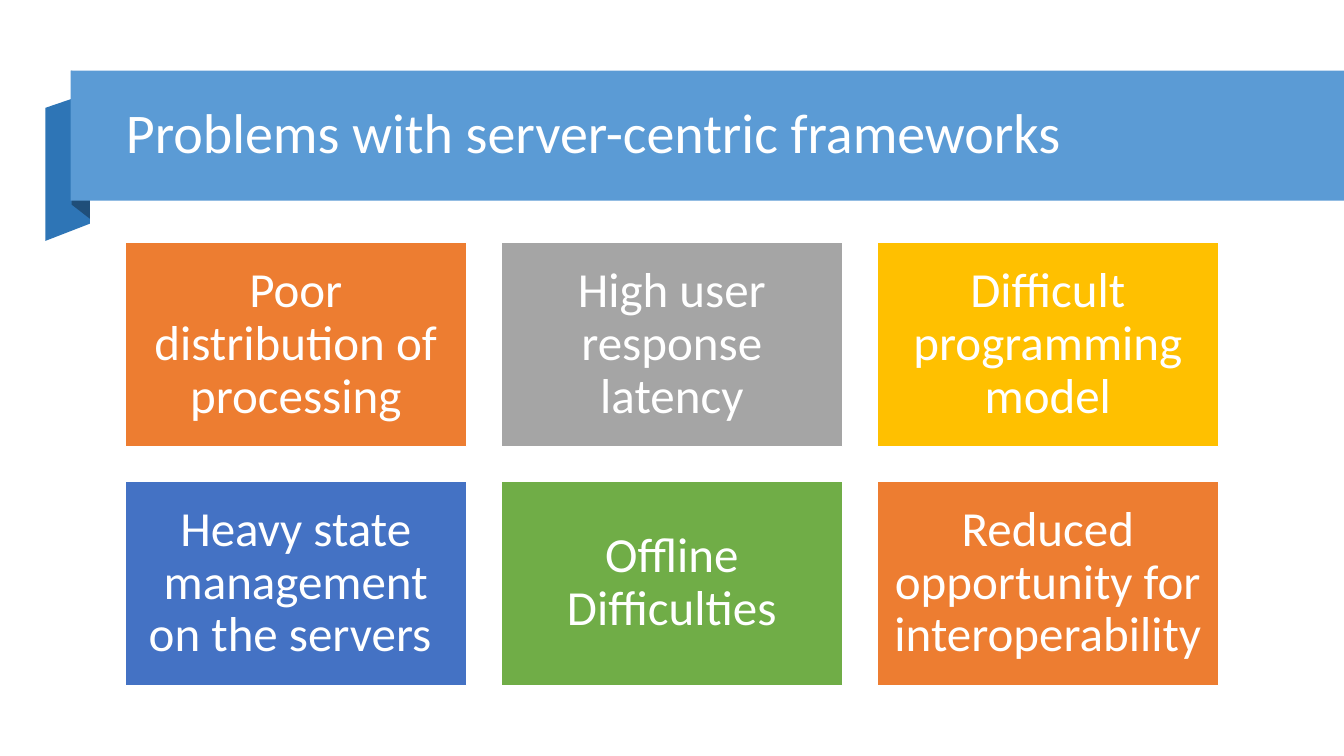
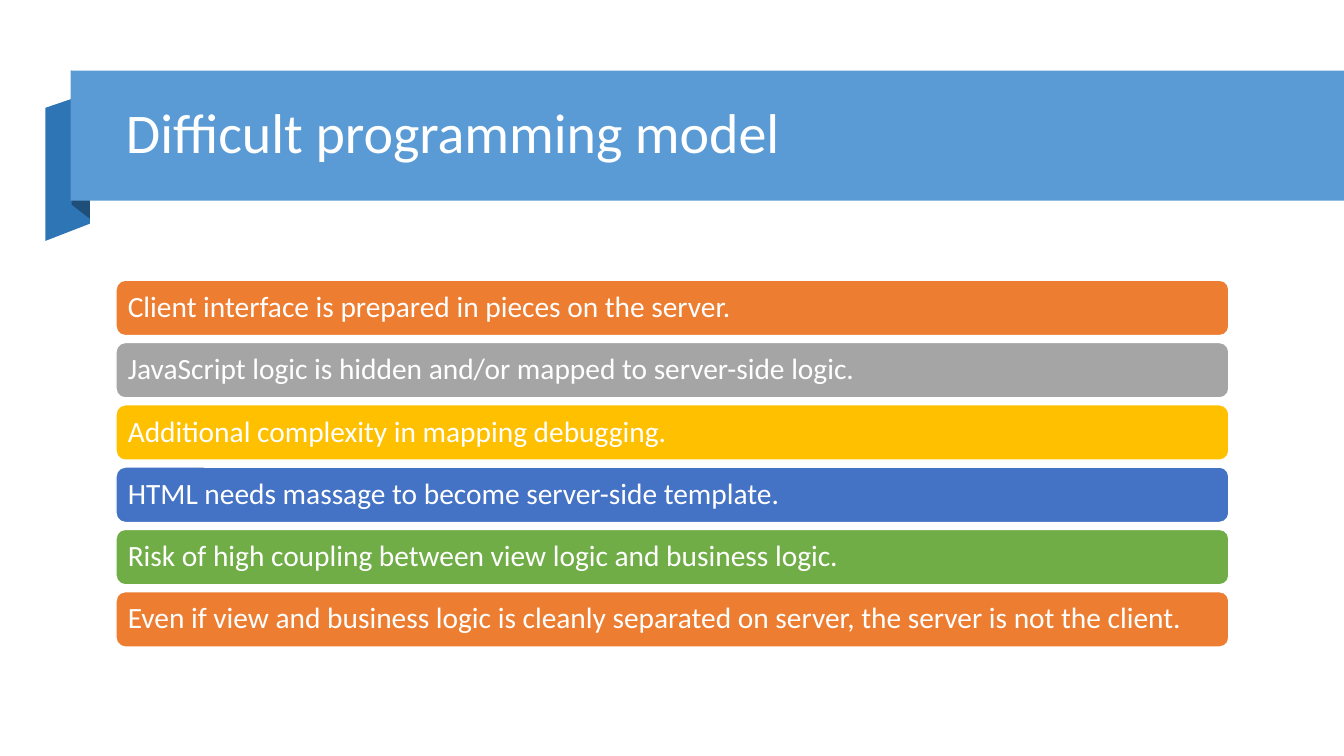
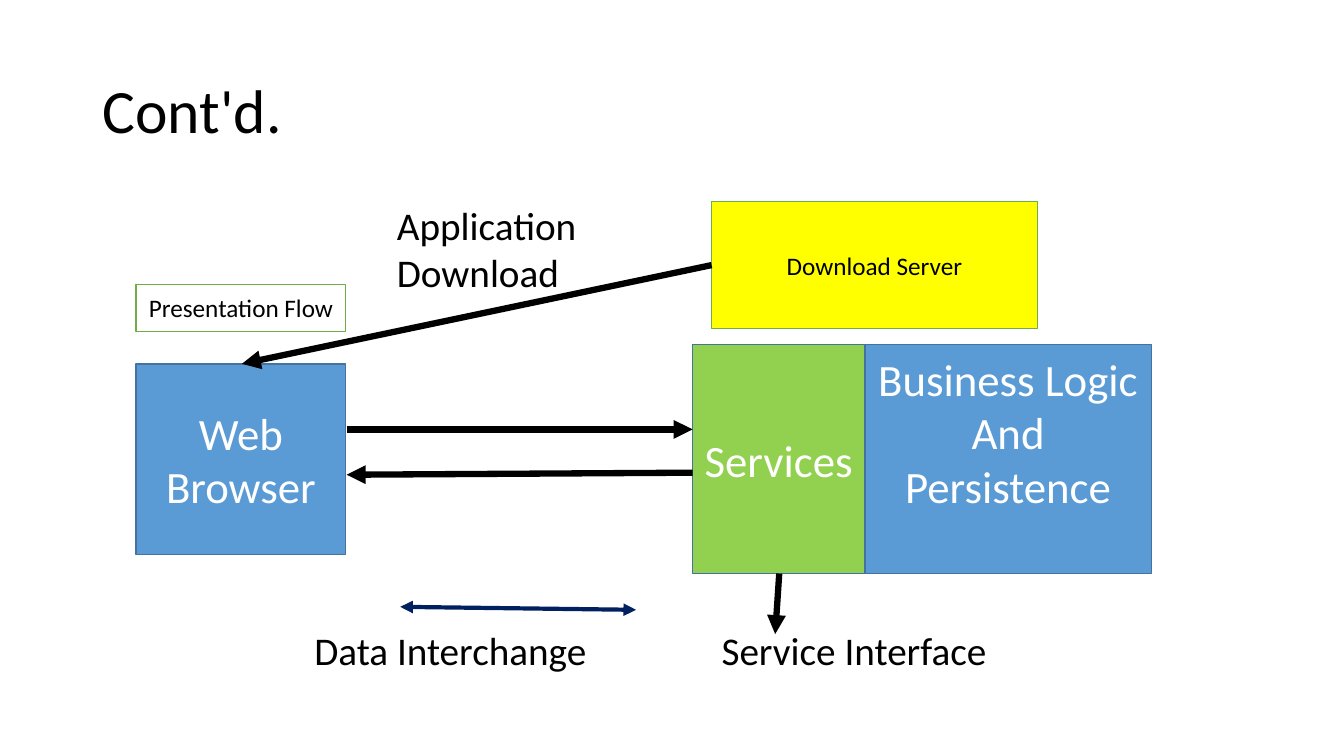
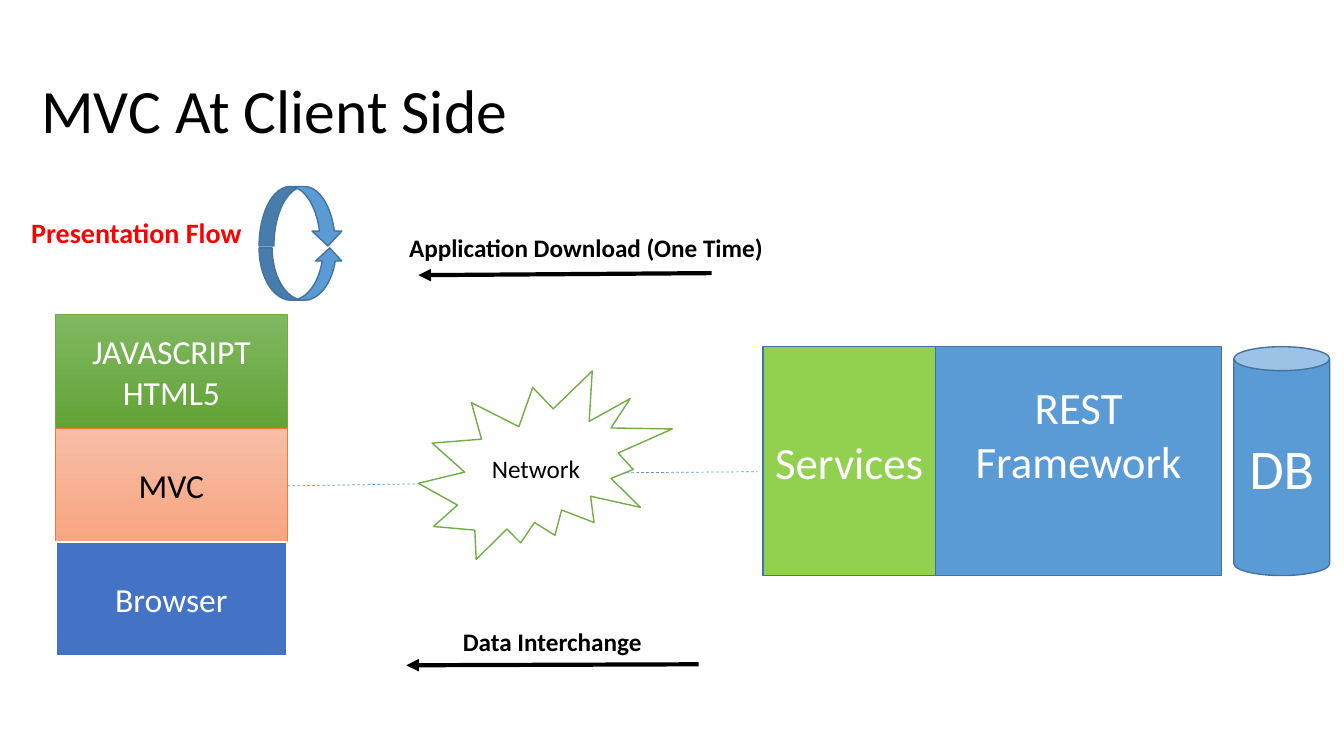
from lxml import etree
from pptx import Presentation
from pptx import util as u
from pptx.dml.color import RGBColor
from pptx.enum import dml, shapes, text
from pptx.oxml.ns import qn

W, H = u.Inches(13.333), u.Inches(7.5)
FONT = "Calibri"
COLORS = {
    "white": "FFFFFF", "black": "000000", "red": "FF0000", "yellow": "FFFF00",
    "navy": "002060", "blue": "5B9BD5", "outline": "43739E", "fold": "2E75B6",
    "fold_dark": "1F4E79", "orange": "ED7D31", "gray": "A5A5A5", "gold": "FFC000",
    "indigo": "4472C4", "green": "70AD47", "lime": "92D050",
    "green_top": "81B861", "green_end": "62A336",
    "peach_top": "F7BDA5", "peach_end": "F8A582",
}
ACCENTS = ["orange", "gray", "gold", "indigo", "green", "orange"]
SHAPE = shapes.MSO_SHAPE
ALIGN = text.PP_ALIGN
MIDDLE, TOP = text.MSO_ANCHOR.MIDDLE, text.MSO_ANCHOR.TOP
SERVICES_W, BACKEND_W, SERVER_H = 12.83, 21.3, 30.27


def rgb(name):
    return RGBColor.from_string(COLORS[name])


def px(share):
    return round(W * share / 100)


def py(share):
    return round(H * share / 100)


def box(x, y, w, h):
    return px(x), py(y), px(w), py(h)


def write(sp, lines, size, color="white", bold=False, align=ALIGN.CENTER,
          anchor=MIDDLE, spacing=1.0, left=0.1, right=0.1, bottom=0.05):
    tf = sp.text_frame
    tf.word_wrap = True
    tf.vertical_anchor = anchor
    tf.margin_left, tf.margin_right = u.Inches(left), u.Inches(right)
    tf.margin_top, tf.margin_bottom = u.Inches(0.05), u.Inches(bottom)
    for i, line in enumerate(lines.split("\n")):
        p = tf.add_paragraph() if i else tf.paragraphs[0]
        p.alignment, p.line_spacing = align, spacing
        r = p.add_run()
        r.text = line
        r.font.name, r.font.size, r.font.bold = FONT, u.Pt(size), bold
        r.font.color.rgb = rgb(color)


def paint(sp, fill, line=None, width=1):
    sp.shadow.inherit = False
    if isinstance(fill, tuple):
        sp.fill.gradient()
        sp.fill.gradient_angle = 270
        for stop, name in zip(sp.fill.gradient_stops, fill):
            stop.color.rgb = rgb(name)
    else:
        sp.fill.solid()
        sp.fill.fore_color.rgb = rgb(fill)
    if line:
        sp.line.color.rgb = rgb(line)
        sp.line.width = u.Pt(width)
    else:
        sp.line.fill.background()


def block(s, area, fill, line=None, width=1, kind=SHAPE.RECTANGLE):
    sp = s.shapes.add_shape(kind, *box(*area))
    paint(sp, fill, line, width)
    return sp


def label(s, area, words, size, color="black", **style):
    sp = s.shapes.add_textbox(*box(*area))
    write(sp, words, size, color, **{"align": ALIGN.LEFT, "anchor": TOP, **style})


def title(s, area, words, size=44, color="black"):
    label(s, area, words, size, color, anchor=MIDDLE, spacing=0.9)


def fold(s, points, fill):
    (x, y), *rest = [(px(a), py(b)) for a, b in points]
    builder = s.shapes.build_freeform(x, y)
    builder.add_line_segments(rest, close=True)
    paint(builder.convert_to_shape(), fill)


def ribbon_title(s, words):
    fold(s, [(6.68, 29.6), (3.38, 31.87), (3.38, 14.27), (6.68, 12.27)], "fold")
    fold(s, [(6.68, 28.93), (5.33, 27.07), (5.33, 9.33), (6.68, 11.33)], "fold_dark")
    block(s, (5.25, 9.33, 94.75, 17.2), "blue")
    title(s, (8.63, 11.47, 84.53, 12.8), words, 40, "white")


def connect(s, start, end, color="black", width=4.5, ends=("tailEnd",), dash=False):
    c = s.shapes.add_connector(shapes.MSO_CONNECTOR.STRAIGHT, px(start[0]),
                               py(start[1]), px(end[0]), py(end[1]))
    c.line.color.rgb = rgb(color)
    c.line.width = u.Pt(width)
    if dash:
        c.line.dash_style = dml.MSO_LINE.DASH
    ln = c.line._get_or_add_ln()
    for tag in ends:
        etree.SubElement(ln, qn("a:" + tag), type="triangle")
    etree.SubElement(ln.getparent(), qn("a:effectLst"))


def server(s, x, y, backend):
    sp = block(s, (x + SERVICES_W, y, BACKEND_W, SERVER_H), "blue", "outline")
    write(sp, backend, 32, bottom=0.59)
    sp = block(s, (x, y, SERVICES_W, SERVER_H), "lime", "outline")
    write(sp, "Services", 32)


def problems(s):
    ribbon_title(s, "Problems with server-centric frameworks")
    cards = ["Poor distribution of processing", "High user response latency",
             "Difficult programming model", "Heavy state management on the servers ",
             "Offline Difficulties", "Reduced opportunity for interoperability"]
    for i, (words, fill) in enumerate(zip(cards, ACCENTS)):
        row, col = divmod(i, 3)
        sp = block(s, (9.3 + 27.98 * col, 32 + 31.6 * row, 25.43, 27.07), fill, "white")
        write(sp, words, 35, spacing=0.9, left=0.15, right=0.15)


def programming_model(s):
    ribbon_title(s, "Difficult programming model")
    bars = ["Client interface is prepared in pieces on the server.",
            "JavaScript logic is hidden and/or mapped to server-side logic.",
            "Additional complexity in mapping debugging.",
            "HTML needs massage to become server-side template.",
            "Risk of high coupling between view logic and business logic.",
            "Even if view and business logic is cleanly separated on server, "
            "the server is not the client."]
    for i, (words, fill) in enumerate(zip(bars, ACCENTS)):
        sp = block(s, (8.63, 37.07 + 8.24 * i, 82.8, 7.33), fill, "white",
                   kind=SHAPE.ROUNDED_RECTANGLE)
        write(sp, words, 21, align=ALIGN.LEFT, spacing=0.9, left=0.09)


def service_flow(s):
    title(s, (6.9, 5.33, 86.25, 19.33), "Cont'd.")
    write(block(s, (10.13, 48.13, 15.6, 25.2), "blue", "outline"), "Web Browser", 32)
    server(s, 51.53, 45.6, "Business Logic And Persistence")
    write(block(s, (10.13, 37.6, 15.6, 6.27), "white", "green"),
          "Presentation Flow", 18, "black")
    write(block(s, (52.95, 26.67, 24.23, 16.8), "yellow", "green"),
          "Download Server", 18, "black")
    label(s, (28.8, 26, 21.68, 13.87), "Application Download", 28)
    label(s, (22.65, 82.13, 28.88, 7.6), "Data Interchange", 28)
    label(s, (52.95, 82.13, 28.88, 7.6), "Service Interface", 28)
    for start, end in [((25.8, 56.8), (51.53, 56.8)), ((51.53, 62.53), (25.8, 62.8)),
                       ((52.95, 35.07), (18, 48.13)), ((57.98, 75.87), (57.68, 83.87))]:
        connect(s, start, end)
    connect(s, (29.78, 80.27), (47.33, 80.67), "navy", 3, ("headEnd", "tailEnd"))


def client_mvc(s):
    title(s, (2.33, 5.33, 90.83, 19.33), "MVC At Client Side")
    layers = [("JAVASCRIPT\nHTML5", "white", ("green_top", "green_end"), "green", 0.5),
              ("MVC", "black", ("peach_top", "peach_end"), "orange", 0.5),
              ("Browser", "white", "indigo", "white", 1.5)]
    for i, (words, color, fill, line, width) in enumerate(layers):
        sp = block(s, (4.13, 41.6 + 15.07 * i, 17.25, 15.07), fill, line, width)
        write(sp, words, 24, color)
    sp = block(s, (31.13, 49.07, 18.9, 24.93), "white", "green", kind=SHAPE.EXPLOSION2)
    write(sp, "Network", 18, "black")
    server(s, 56.78, 45.87, "REST Framework")
    sp = block(s, (91.8, 45.87, 7.13, SERVER_H), "blue", "outline", kind=SHAPE.CAN)
    write(sp, "DB", 40)
    for start, end in [((21.38, 64.27), (31.13, 64)), ((46.58, 62.53), (56.33, 62.4))]:
        connect(s, start, end, "blue", 0.5, (), dash=True)
    for start, end in [((52.95, 36.13), (31.13, 36.4)), ((51.98, 87.87), (30.23, 88))]:
        connect(s, start, end, width=3)
    block(s, (19.28, 32.8, 6.23, 6.93), "blue", "outline", kind=SHAPE.CURVED_UP_ARROW)
    block(s, (19.28, 24.67, 6.23, 7.87), "blue", "outline", kind=SHAPE.CURVED_DOWN_ARROW)
    label(s, (1.58, 27.87, 17.7, 5.87), "Presentation Flow", 20, "red", bold=True)
    label(s, (29.7, 30.13, 29.63, 5.33), "Application Download (One Time)", 18, bold=True)
    label(s, (33.7, 82.13, 26.98, 5.33), "Data Interchange", 18, bold=True)


def main():
    prs = Presentation()
    prs.slide_width, prs.slide_height = W, H
    for build in (problems, programming_model, service_flow, client_mvc):
        build(prs.slides.add_slide(prs.slide_layouts[6]))
    prs.save("out.pptx")


if __name__ == "__main__":
    main()
